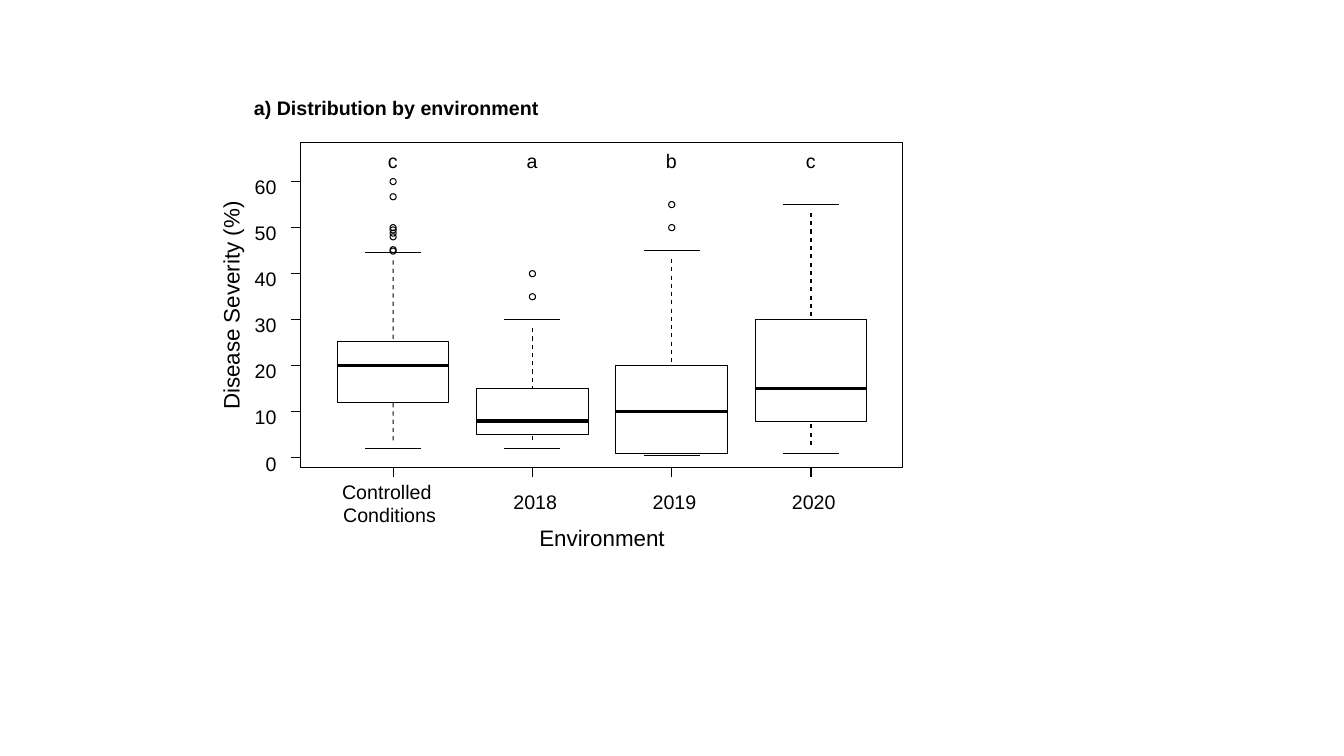
"""Build a slide with box plots of disease severity by environment."""
from lxml import etree
from pptx import Presentation
from pptx.dml.color import RGBColor
from pptx.enum.shapes import MSO_CONNECTOR, MSO_SHAPE
from pptx.enum.text import MSO_AUTO_SIZE, PP_ALIGN
from pptx.oxml.ns import qn
from pptx.util import Pt

STRAIGHT = MSO_CONNECTOR.STRAIGHT
RECTANGLE, OVAL = MSO_SHAPE.RECTANGLE, MSO_SHAPE.OVAL
LEFT, CENTER, RIGHT = PP_ALIGN.LEFT, PP_ALIGN.CENTER, PP_ALIGN.RIGHT
FIT_TEXT = MSO_AUTO_SIZE.SHAPE_TO_FIT_TEXT
BLACK = "000000"

FRAME_LEFT, FRAME_TOP, FRAME_WIDTH, FRAME_HEIGHT = 214.6, 101.5, 429.8, 232.6
FRAME_BOTTOM = FRAME_TOP + FRAME_HEIGHT
ZERO_Y, UNIT = 327.1, 3.29
FIRST_X, STEP_X = 280.8, 99.5
BOX_WIDTH, CAP_WIDTH, DOT, TICK = 79.6, 40, 4.4, 6.8
WHISKER_GAP = 6

ENVIRONMENTS = [
    ("Controlled \nConditions", "c", (2, 12, 20, 25.2, 44.7),
     (49.5, 48.8, 60, 56.7, 50, 44.9, 48, 45.2)),
    ("2018", "a", (2, 5, 8, 15, 30), (35, 40)),
    ("2019", "b", (0.5, 1, 10, 20, 45), (55, 50)),
    ("2020", "c", (1, 8, 15, 30, 55), ()),
]

prs = Presentation()
prs.slide_width, prs.slide_height = Pt(960), Pt(540)
slide = prs.slides.add_slide(prs.slide_layouts[6])
shapes = slide.shapes


def draw(left, top, width, height, preset=None, weight=0.75):
    if preset is None:
        item = shapes.add_connector(STRAIGHT, Pt(left), Pt(top), Pt(left + width), Pt(top + height))
    else:
        item = shapes.add_shape(preset, Pt(left), Pt(top), Pt(width), Pt(height))
        item.shadow.inherit = False
        item.fill.background()
    item.line.color.rgb = RGBColor.from_string(BLACK)
    item.line.width = Pt(weight)
    if preset is None:
        etree.SubElement(item.line._get_or_add_ln().getparent(), qn("a:effectLst"))
    return item


def write(text, left, top, width, height, align=CENTER, size=14, bold=False, wrap=False):
    box = shapes.add_textbox(Pt(left), Pt(top), Pt(width), Pt(height))
    frame_format = {"margin_left": 0, "margin_top": 0, "margin_right": 0, "margin_bottom": 0,
                    "word_wrap": wrap, "auto_size": FIT_TEXT, "text": text}
    for name, value in frame_format.items():
        setattr(box.text_frame, name, value)
    for paragraph in box.text_frame.paragraphs:
        paragraph.alignment = align
        font = paragraph.runs[0].font
        for name, value in {"name": "Arial", "size": Pt(size), "bold": bold}.items():
            setattr(font, name, value)
        font.color.rgb = RGBColor.from_string(BLACK)
    return box


draw(FRAME_LEFT, FRAME_TOP, FRAME_WIDTH, FRAME_HEIGHT, RECTANGLE)
draw(FRAME_LEFT, ZERO_Y, 0, -60 * UNIT)
draw(FIRST_X, FRAME_BOTTOM, 3 * STEP_X, 0)

for severity in range(0, 61, 10):
    tick_y = ZERO_Y - severity * UNIT
    draw(FRAME_LEFT, tick_y, -TICK, 0)
    write(str(severity), 177.6, tick_y - 4.6, 20, 17.3, RIGHT)

for index, (environment, group_letter, summary, outliers) in enumerate(ENVIRONMENTS):
    x = FIRST_X + index * STEP_X
    low_y, q1_y, median_y, q3_y, high_y = [ZERO_Y - value * UNIT for value in summary]
    box_left = x - BOX_WIDTH / 2
    quartiles = draw(box_left, q3_y, BOX_WIDTH, q1_y - q3_y, RECTANGLE)
    draw(box_left, median_y, BOX_WIDTH, 0, weight=2.25)

    for cap_y, box_y, direction, site in ((low_y, q1_y, -1, 2), (high_y, q3_y, 1, 0)):
        draw(x - CAP_WIDTH / 2, cap_y, CAP_WIDTH, 0)
        start_y = cap_y + direction * WHISKER_GAP
        if (box_y - start_y) * direction > 0:
            whisker = draw(x, start_y, 0, box_y - start_y)
            whisker.end_connect(quartiles, site)
            dashes = etree.SubElement(whisker.line._get_or_add_ln(), qn("a:custDash"))
            etree.SubElement(dashes, qn("a:ds"), d="400000", sp="400000")

    for outlier in outliers:
        draw(x - DOT / 2, ZERO_Y - outlier * UNIT - DOT / 2, DOT, DOT, OVAL)

    draw(x, FRAME_BOTTOM, 0, TICK)
    write(group_letter, x - 6.2, 106.4, 12, 17.3)
    if "\n" in environment:
        write(environment, x - 44.6, 342.7, 84.2, 33.8, wrap=True)
    else:
        write(environment, x - 18, 349.9, 40, 17.3)

write("a) Distribution by environment", 181.4, 68.4, 204.5, 17.3, LEFT, bold=True)
write("Environment", 384.7, 374.4, 90.7, 19.4, size=16)
severity_title = write("Disease Severity (%)", 89.3, 208.6, 151.2, 19.4, size=16)
severity_title.rotation = 270

prs.save("out.pptx")
